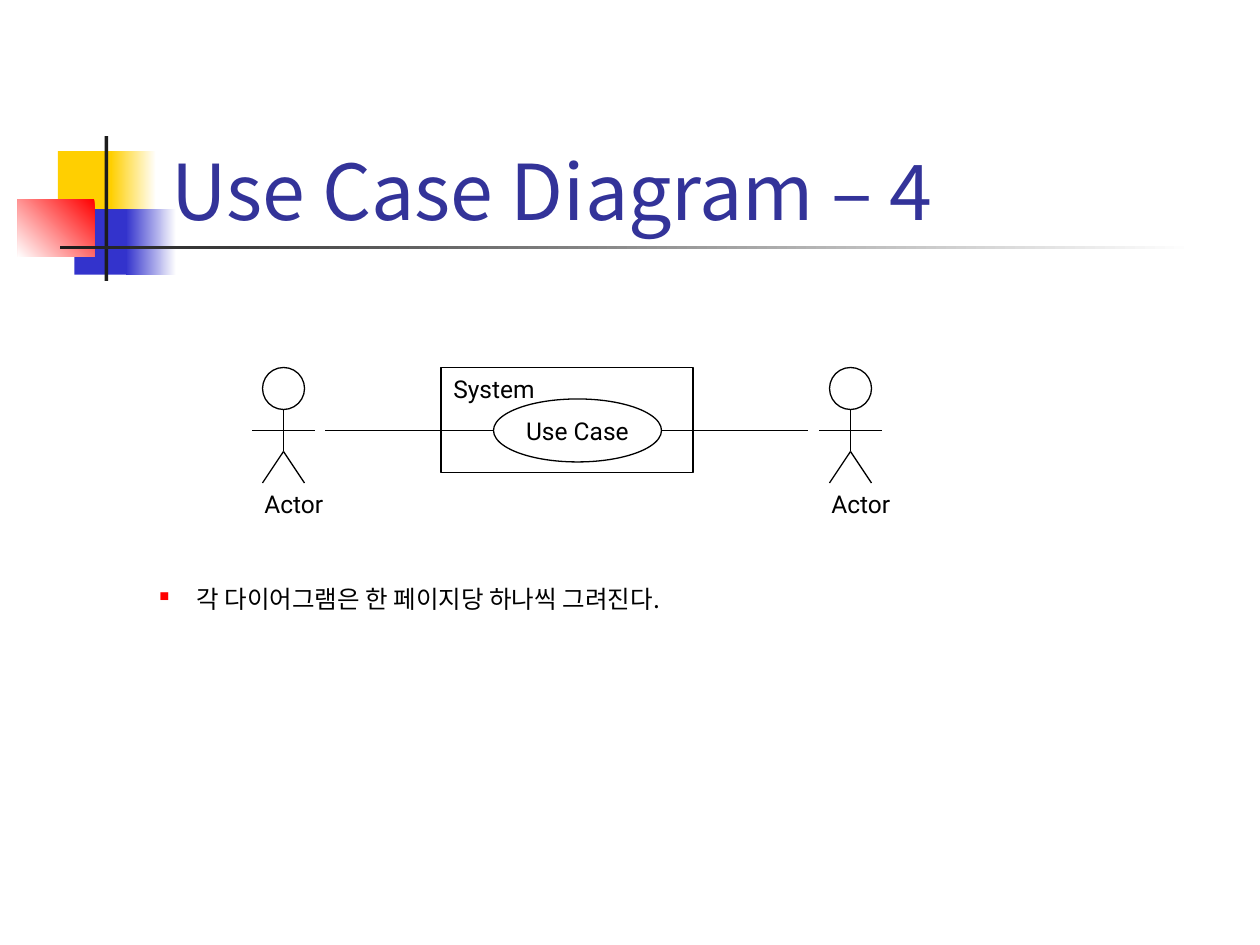
from lxml import etree
from pptx import Presentation
from pptx import util as u
from pptx.dml.color import RGBColor
from pptx.enum import shapes, text
from pptx.oxml import ns

deck = Presentation()
deck.slide_width, deck.slide_height = u.Inches(10), u.Inches(7.5)
page = deck.slides.add_slide(deck.slide_layouts[5])
color = RGBColor.from_string
UNIT = deck.slide_width // 120
STRAIGHT = shapes.MSO_CONNECTOR.STRAIGHT
OVAL, RECT = shapes.MSO_SHAPE.OVAL, shapes.MSO_SHAPE.RECTANGLE


def outline(item):
    item.line.color.rgb = color("000000")
    item.line.width = u.Pt(0.75)
    etree.SubElement(item.element.spPr, ns.qn("a:effectLst"))
    if hasattr(item, "fill"):
        item.fill.background()


def write(box, words, size=14, font="Roboto", ink="000000", align="LEFT", anchor="TOP", wrap=True):
    frame = box.text_frame
    frame.word_wrap = wrap
    frame.auto_size = text.MSO_AUTO_SIZE.NONE
    frame.vertical_anchor = text.MSO_ANCHOR[anchor]
    para = frame.paragraphs[0]
    para.alignment = text.PP_ALIGN[align]
    span = para.add_run()
    span.text = words
    span.font.size = u.Pt(size)
    span.font.name = font
    span.font.color.rgb = color(ink)
    etree.SubElement(span.font._element, ns.qn("a:ea"), typeface=font)
    return para


decorations = [
    (0.46, 1.2, 0.48, 0.52, ["FFCF01"], 0),
    (0.88, 1.2, 0.36, 0.52, ["FFFFFF", "FFCF01"], 180),
    (0.59, 1.66, 0.46, 0.52, ["3333CC"], 0),
    (1, 1.66, 0.4, 0.52, ["FFFFFF", "3333CC"], 180),
    (0.14, 1.58, 0.61, 0.46, ["FF0000", "FFFFFF"], 225),
    (0.83, 1.08, 0.03, 1.15, ["1C1C1C"], 0),
    (0.48, 1.95, 9, 0.03, ["FFFFFF", "1C1C1C"], 180),
]
for *place, tones, angle in decorations:
    block = page.shapes.add_shape(RECT, *map(u.Inches, place))
    block.shadow.inherit = False
    block.line.fill.background()
    if len(tones) == 1:
        block.fill.solid()
        block.fill.fore_color.rgb = color(tones[0])
    else:
        block.fill.gradient()
        block.fill.gradient_angle = angle
        for stop, tone in zip(block.fill.gradient_stops, tones):
            stop.color.rgb = color(tone)

title = page.shapes.title
title.left, title.top, title.width, title.height = map(u.Inches, (1.26, 0.67, 8.52, 1.25))
title.element.getparent().append(title.element)
write(title, "Use Case Diagram – 4", 44, "Noto Sans CJK KR", "333399", anchor="BOTTOM")

for column in (24, 78):
    actor = page.shapes.add_group_shape()
    head = actor.shapes.add_shape(OVAL, (column + 1) * UNIT, 35 * UNIT, 4 * UNIT, 4 * UNIT)
    outline(head)
    for x1, y1, x2, y2 in [(3, 39, 3, 43), (0, 41, 6, 41), (3, 43, 1, 46), (3, 43, 5, 46)]:
        limb = actor.shapes.add_connector(
            STRAIGHT, (column + x1) * UNIT, y1 * UNIT, (column + x2) * UNIT, y2 * UNIT)
        outline(limb)
    label = page.shapes.add_textbox(column * UNIT, 46 * UNIT, u.Inches(0.7), 4 * UNIT)
    write(label, "Actor")

use_case = page.shapes.add_shape(OVAL, 47 * UNIT, 38 * UNIT, 16 * UNIT, 6 * UNIT)
outline(use_case)
write(use_case, "Use Case", align="CENTER", anchor="MIDDLE", wrap=False)
system = page.shapes.add_shape(RECT, 42 * UNIT, 35 * UNIT, 24 * UNIT, 10 * UNIT)
outline(system)
system_label = page.shapes.add_textbox(42 * UNIT, 35 * UNIT, 11 * UNIT, 4 * UNIT)
write(system_label, "System")

for start, end in [(31, 47), (63, 77)]:
    outline(page.shapes.add_connector(STRAIGHT, start * UNIT, 41 * UNIT, end * UNIT, 41 * UNIT))

note = page.shapes.add_textbox(11 * UNIT, 55 * UNIT, 104 * UNIT, 4 * UNIT)
para = write(note, " 각 다이어그램은 한 페이지당 하나씩 그려진다.", font="Noto Sans CJK KR")
settings = para._p.get_or_add_pPr()
settings.set("marL", str(u.Inches(0.5)))
settings.set("indent", str(u.Inches(-0.25)))
bullet_color = etree.SubElement(settings, ns.qn("a:buClr"))
etree.SubElement(bullet_color, ns.qn("a:srgbClr"), val="FF0000")
etree.SubElement(settings, ns.qn("a:buSzPct"), val="55000")
etree.SubElement(settings, ns.qn("a:buChar"), char="■")

deck.save("out.pptx")
